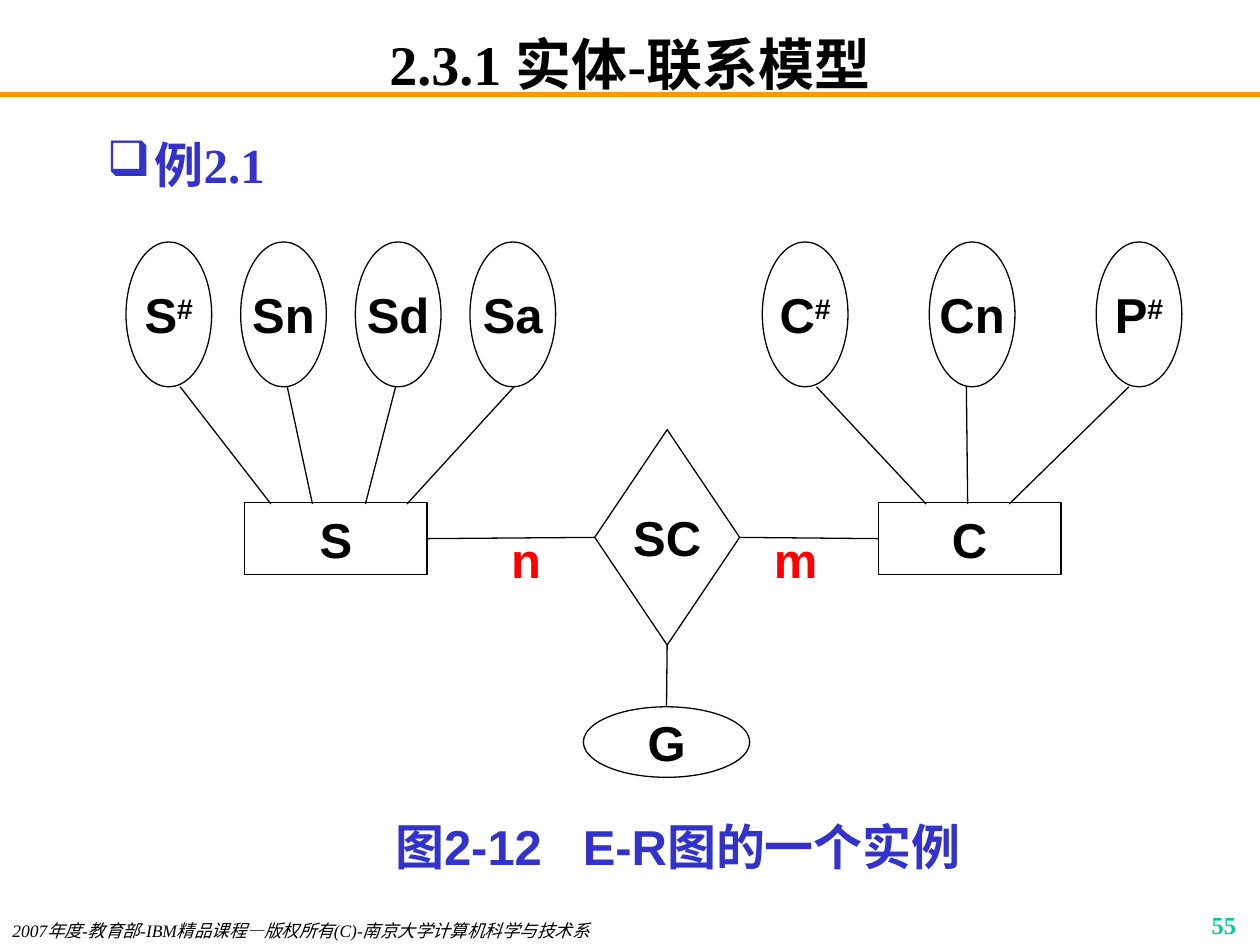
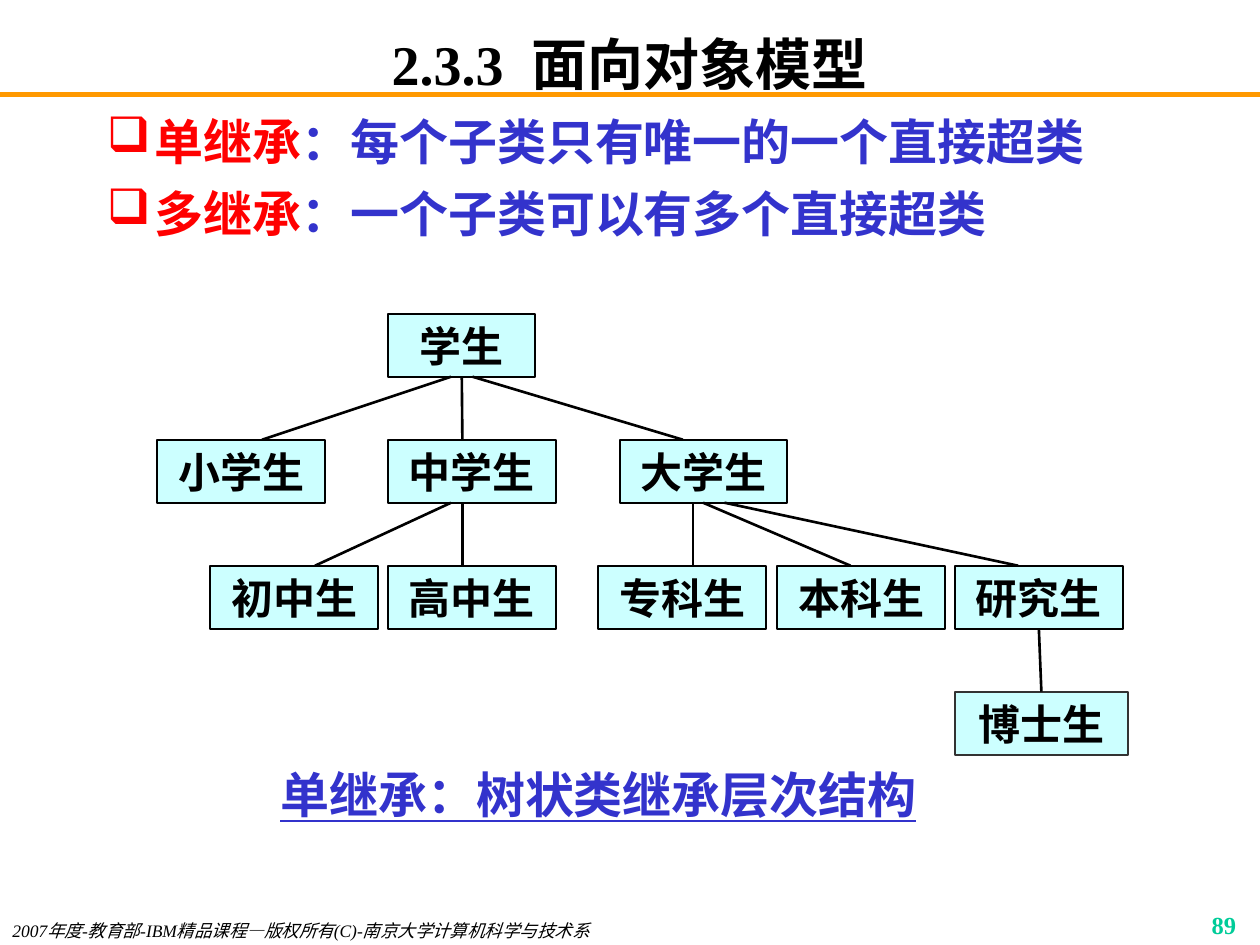
"""Builds two slides: an E-R diagram and a class inheritance tree."""
from dataclasses import dataclass

from lxml import etree
from pptx import Presentation
from pptx.dml.color import RGBColor
from pptx.enum.shapes import MSO_CONNECTOR, MSO_SHAPE
from pptx.enum.text import MSO_ANCHOR, PP_ALIGN
from pptx.oxml.ns import qn
from pptx.util import Inches, Pt

LEFT, CENTER, RIGHT = PP_ALIGN.LEFT, PP_ALIGN.CENTER, PP_ALIGN.RIGHT
TOP, MIDDLE = MSO_ANCHOR.TOP, MSO_ANCHOR.MIDDLE
RECTANGLE, OVAL = MSO_SHAPE.RECTANGLE, MSO_SHAPE.OVAL
DIAMOND = MSO_SHAPE.FLOWCHART_DECISION
STRAIGHT = MSO_CONNECTOR.STRAIGHT
SITE_TOP, SITE_LEFT, SITE_BOTTOM, SITE_RIGHT = range(4)


@dataclass(frozen=True)
class Theme:
    """Colours, fonts, type sizes and line widths."""
    ink: str = "000000"
    blue: str = "3333CC"
    red: str = "FF0000"
    orange: str = "FF9900"
    green: str = "00CC99"
    node: str = "CCFFFF"
    node_edge: str = "333333"
    serif: str = "Times New Roman"
    sans: str = "Arial"
    chinese: str = "Noto Sans CJK SC"
    title: int = 32
    body: int = 28
    node_text: int = 24
    page: int = 14
    footer: int = 10
    band: float = 3
    er_line: float = 0.75
    node_line: float = 1.13
    tree_line: float = 1.5
    leading: float = 1.22


THEME = Theme()
FOOTER = "2007年度-教育部-IBM精品课程—版权所有(C)-南京大学计算机科学与技术系"


def rgb(color):
    """Turn a hex string into a colour."""
    return RGBColor.from_string(color)


def add_run(paragraph, text, size, font, color, bold=True, italic=False,
            underline=False, raised=False, tracking=0):
    """Add one formatted run to a paragraph."""
    run = paragraph.add_run()
    run.text = text
    run.font.size = Pt(size)
    run.font.bold = bold
    run.font.italic = italic
    run.font.underline = underline
    run.font.color.rgb = rgb(color)
    run.font.name = font
    properties = run._r.get_or_add_rPr()
    etree.SubElement(properties, qn("a:ea")).set("typeface", THEME.chinese)
    if raised:
        properties.set("baseline", "30000")
    if tracking:
        properties.set("spc", str(round(tracking * 100)))


def add_bullet(paragraph, color):
    """Give a paragraph a hanging box bullet."""
    properties = paragraph._p.get_or_add_pPr()
    properties.set("marL", str(Inches(0.38)))
    properties.set("indent", str(-Inches(0.38)))
    bullet_color = etree.SubElement(properties, qn("a:buClr"))
    etree.SubElement(bullet_color, qn("a:srgbClr")).set("val", color)
    etree.SubElement(properties, qn("a:buChar")).set("char", "❑")


def write(shape, *paragraphs, align=CENTER, anchor=TOP, insets=(0.1, 0.05),
          wrap=True, bullet=None, leading=None, **style):
    """Fill a shape with paragraphs, each a list of (text, overrides) runs."""
    frame = shape.text_frame
    frame.word_wrap = wrap
    frame.vertical_anchor = anchor
    frame.margin_left = frame.margin_right = Inches(insets[0])
    frame.margin_top = frame.margin_bottom = Inches(insets[1])
    for index, runs in enumerate(paragraphs):
        paragraph = frame.add_paragraph() if index else frame.paragraphs[0]
        if bullet:
            add_bullet(paragraph, bullet)
        paragraph.alignment = align
        if leading:
            paragraph.line_spacing = Pt(round(style["size"] * leading, 1))
        if index:
            paragraph.space_before = Pt(7)
        for text, overrides in runs:
            add_run(paragraph, text, **{**style, **overrides})


def add_text(slide, box, *paragraphs, **style):
    """Add a text box at (left, top, width, height) in inches."""
    write(slide.shapes.add_textbox(*map(Inches, box)), *paragraphs, **style)


def add_box(slide, kind, box, line, width, fill=None):
    """Add a plain outlined shape."""
    shape = slide.shapes.add_shape(kind, *map(Inches, box))
    shape.shadow.inherit = False
    if fill:
        shape.fill.solid()
        shape.fill.fore_color.rgb = rgb(fill)
    else:
        shape.fill.background()
    shape.line.color.rgb = rgb(line)
    shape.line.width = Pt(width)
    return shape


def add_er_box(slide, kind, box, label, mark=""):
    """Add an E-R symbol with its label and optional raised mark."""
    shape = add_box(slide, kind, box, THEME.ink, THEME.er_line)
    runs = [(label, {})] + ([(mark, {"raised": True})] if mark else [])
    write(shape, runs, anchor=MIDDLE, insets=(0, 0), wrap=False,
          size=THEME.body, font=THEME.sans, color=THEME.ink)
    return shape


def add_class(slide, box, name, edge=THEME.ink):
    """Add a class node of the inheritance tree."""
    shape = add_box(slide, RECTANGLE, box, edge, THEME.node_line, THEME.node)
    write(shape, [(name, {})], leading=THEME.leading, size=THEME.node_text,
          font=THEME.chinese, color=THEME.ink)
    return shape


def connect(slide, start, end, width, color=THEME.ink):
    """Draw a line whose ends are (x, y) points or (shape, site) joints."""
    line = slide.shapes.add_connector(STRAIGHT, 0, 0, 0, 0)
    if isinstance(start[0], (int, float)):
        line.begin_x, line.begin_y = map(Inches, start)
    else:
        line.begin_connect(*start)
    if isinstance(end[0], (int, float)):
        line.end_x, line.end_y = map(Inches, end)
    else:
        line.end_connect(*end)
    line.line.color.rgb = rgb(color)
    line.line.width = Pt(width)
    etree.SubElement(line._element.spPr, qn("a:effectLst"))


def add_page(deck, number, title, page, gap):
    """Add a blank slide with band, title, footer and page number."""
    slide = deck.slides.add_slide(deck.slide_layouts[6])
    connect(slide, (0, 0.75), (10, 0.75), THEME.band, THEME.orange)
    add_text(slide, (0.75, 0.25, 8.5, 0.5),
             [(number, {}), (" ", {"tracking": gap}), (title, {})],
             anchor=MIDDLE, insets=(0.1, 0), size=THEME.title,
             font=THEME.serif, color=THEME.ink)
    add_text(slide, (0, 7.25, 5.5, 0.25), [(FOOTER, {})], align=LEFT,
             leading=THEME.leading, size=THEME.footer, font=THEME.serif,
             color=THEME.ink, bold=False, italic=True)
    add_text(slide, (7.83, 7.17, 2.08, 0.25), [(page, {})], align=RIGHT,
             size=THEME.page, font=THEME.serif, color=THEME.green)
    return slide


def add_entity(slide, name, left, first, step, attributes, line_ends):
    """Add an entity with its row of attributes and joining lines."""
    for index, (label, mark) in enumerate(attributes):
        add_er_box(slide, OVAL, (first + index * step, 1.92, 0.68, 1.15),
                   label, mark)
    for attribute_x, entity_x in line_ends:
        connect(slide, (attribute_x, 3.07), (entity_x, 4), THEME.er_line)
    return add_er_box(slide, RECTANGLE, (left, 3.99, 1.45, 0.57), name)


def build_er_slide(deck):
    """Build the entity-relationship example."""
    slide = add_page(deck, "2.3.1", "实体-联系模型", "55", 0)
    add_text(slide, (0.75, 0.92, 8.5, 0.8), [("例2.1", {})], align=LEFT,
             bullet=THEME.blue, leading=1.2 * THEME.leading,
             size=THEME.body, font=THEME.serif, color=THEME.blue)
    student = add_entity(
        slide, "S", 1.94, 1, 0.91,
        [("S", "#"), ("Sn", ""), ("Sd", ""), ("Sa", "")],
        [(1.43, 2.15), (2.28, 2.48), (3.14, 2.9), (4.08, 3.23)])
    course = add_entity(
        slide, "C", 6.97, 6.05, 1.325,
        [("C", "#"), ("Cn", ""), ("P", "#")],
        [(6.48, 7.35), (7.67, 7.68), (8.96, 8.01)])
    choice = add_er_box(slide, DIAMOND, (4.72, 3.41, 1.15, 1.71), "SC")
    grade = add_er_box(slide, OVAL, (4.63, 5.61, 1.32, 0.56), "G")
    for start, end in [((student, SITE_RIGHT), (choice, SITE_LEFT)),
                       ((choice, SITE_RIGHT), (course, SITE_LEFT)),
                       ((choice, SITE_BOTTOM), (grade, SITE_TOP))]:
        connect(slide, start, end, THEME.er_line)
    for cardinality, left in [("n", 3.97), ("m", 6.11)]:
        add_text(slide, (left, 4.2, 0.41, 0.47), [(cardinality, {})],
                 insets=(0, 0), wrap=False, size=THEME.body,
                 font=THEME.sans, color=THEME.red)
    add_text(slide, (1.92, 6.42, 6.92, 0.57),
             [("图2-12", {}), (" ", {"tracking": 15.6}),
              ("E-R图的一个实例", {})],
             leading=THEME.leading, size=THEME.body, font=THEME.sans,
             color=THEME.blue)


def build_inheritance_slide(deck):
    """Build the single inheritance tree."""
    slide = add_page(deck, "2.3.3", "面向对象模型", "89", 8)
    definitions = [("单继承", "：每个子类只有唯一的一个直接超类"),
                   ("多继承", "：一个子类可以有多个直接超类")]
    add_text(slide, (0.75, 0.83, 8.5, 1.34),
             *[[(term, {"color": THEME.red}), (meaning, {})]
               for term, meaning in definitions],
             align=LEFT, bullet=THEME.red, leading=THEME.leading,
             size=THEME.body, font=THEME.chinese, color=THEME.blue)
    add_text(slide, (1.75, 6.06, 6, 0.47),
             [("单继承：树状类继承层次结构", {})], insets=(0, 0),
             leading=THEME.leading, size=THEME.body, font=THEME.chinese,
             color=THEME.blue, underline=True)

    level_tops = [2.49, 3.49, 4.49, 5.49]
    height = 0.5
    student = add_class(slide, (3.08, level_tops[0], 1.17, height), "学生")
    for name, left in [("小学生", 1.25), ("中学生", 3.08), ("大学生", 4.92)]:
        add_class(slide, (left, level_tops[1], 1.33, height), name)
    for name, left in [("初中生", 1.67), ("高中生", 3.08),
                       ("专科生", 4.75), ("本科生", 6.17)]:
        add_class(slide, (left, level_tops[2], 1.33, height), name)
    graduate = add_class(slide, (7.58, level_tops[2], 1.33, height), "研究生")
    doctor = add_class(slide, (7.58, level_tops[3], 1.37, height), "博士生",
                       THEME.node_edge)

    branches = [(0, 3.58, 2.08), (0, 3.75, 5.42),
                (1, 3.67, 3.67), (1, 3.58, 2.5),
                (1, 5.5, 5.5), (1, 5.58, 6.75), (1, 5.75, 8.08)]
    for level, parent_x, child_x in branches:
        connect(slide, (parent_x, level_tops[level] + height),
                (child_x, level_tops[level + 1]), THEME.tree_line)
    connect(slide, (student, SITE_BOTTOM), (3.67, level_tops[1]),
            THEME.tree_line)
    connect(slide, (graduate, SITE_BOTTOM), (doctor, SITE_TOP),
            THEME.tree_line)


def main():
    """Build and save the deck."""
    deck = Presentation()
    deck.slide_width, deck.slide_height = Inches(10), Inches(7.5)
    build_er_slide(deck)
    build_inheritance_slide(deck)
    deck.save("out.pptx")


if __name__ == "__main__":
    main()
